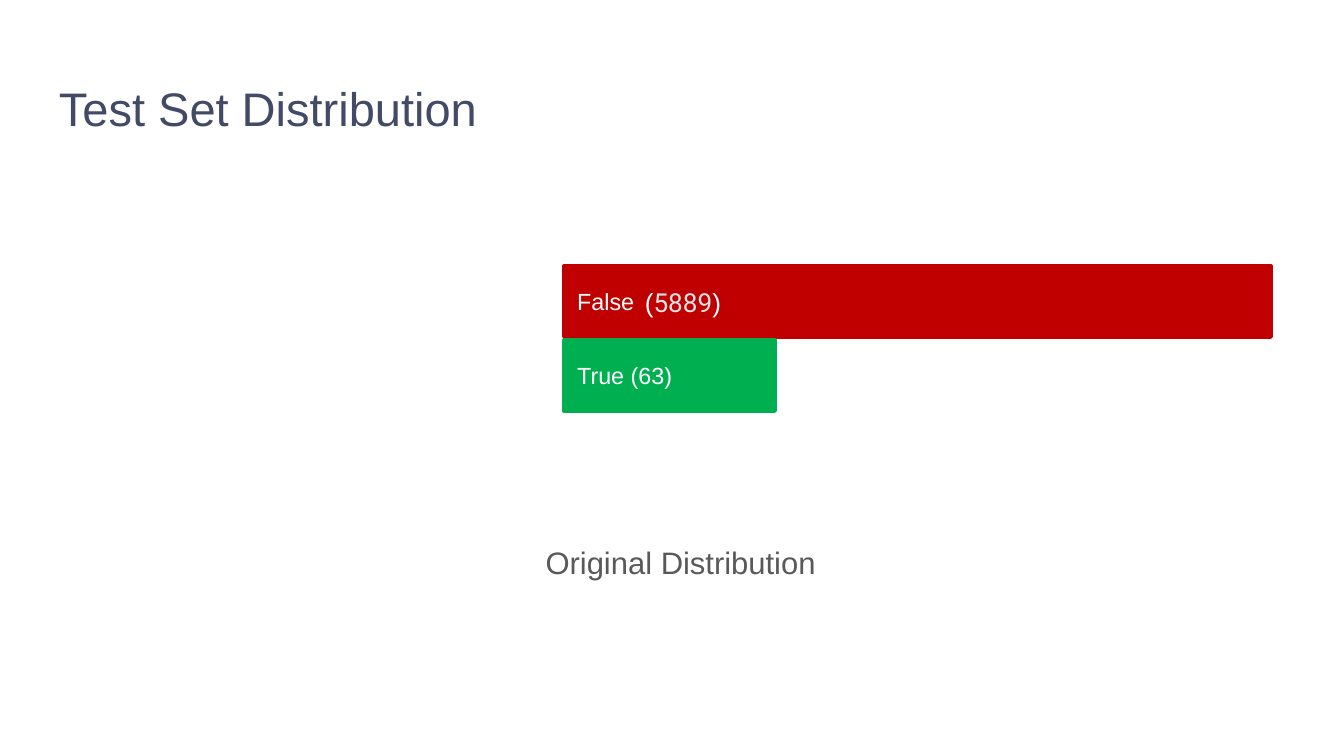
from pptx import Presentation
from pptx.dml.color import RGBColor
from pptx.enum.shapes import MSO_SHAPE
from pptx.enum.text import MSO_ANCHOR, PP_ALIGN
from pptx.util import Emu, Pt

RECT = MSO_SHAPE.RECTANGLE
TOP, MIDDLE = MSO_ANCHOR.TOP, MSO_ANCHOR.MIDDLE
LEFT, CENTER = PP_ALIGN.LEFT, PP_ALIGN.CENTER

NAVY = RGBColor(0x42, 0x4A, 0x65)
GRAY = RGBColor(0x59, 0x59, 0x59)
GREEN = RGBColor(0x00, 0xB0, 0x50)
RED = RGBColor(0xC0, 0x00, 0x00)
WHITE = RGBColor(0xFF, 0xFF, 0xFF)
PALE = RGBColor(0xE3, 0xE3, 0xE3)

# Content
TITLE = "Test Set Distribution"
CAPTION = "Original Distribution"
BARS = [("False", 707, RED), ("True (63)", 211, GREEN)]  # label, width, colour
FALSE_COUNT = [("(", "Arial", WHITE), ("5889", "Roboto", PALE), (")", "Arial", WHITE)]

# Layout in px
BAR_LEFT, BAR_TOP, BAR_HEIGHT, BAR_PITCH = 564, 266, 71, 74
INSET = 13


def px(n):
    return Emu(round(n * 914400 / 134.4))


def add_run(p, text, size, color, font="Arial"):
    r = p.add_run()
    r.text = text
    r.font.size, r.font.name = Pt(size), font
    r.font.color.rgb = color


def set_frame(tf, anchor, inset=None):
    tf.word_wrap = True
    tf.vertical_anchor = anchor
    if inset is not None:
        tf.margin_left = tf.margin_right = px(inset)
        tf.margin_top = tf.margin_bottom = px(inset)
    return tf.paragraphs[0]


prs = Presentation()
prs.slide_width, prs.slide_height = px(1344), px(756)
s = prs.slides.add_slide(prs.slide_layouts[5])

# Title
title = s.shapes.title
title.left, title.top, title.width, title.height = map(px, (46, 66, 1253, 85))
p = set_frame(title.text_frame, TOP, INSET)
p.alignment = LEFT
add_run(p, TITLE, 25.2, NAVY)

# Caption
box = s.shapes.add_textbox(*map(px, (509, 525, 327, 71)))
p = set_frame(box.text_frame, TOP, INSET)
p.alignment, p.line_spacing = CENTER, 1.15
p._p.get_or_add_pPr().set("marL", str(px(16)))
add_run(p, CAPTION, 16.6, GRAY)

# Bars
for i, (label, width, color) in enumerate(BARS):
    bar = s.shapes.add_shape(
        RECT, px(BAR_LEFT), px(BAR_TOP + i * BAR_PITCH), px(width), px(BAR_HEIGHT))
    bar.shadow.inherit = False
    bar.fill.solid()
    bar.fill.fore_color.rgb = color
    bar.line.color.rgb = color
    bar.line.width = Pt(2)
    p = set_frame(bar.text_frame, MIDDLE)
    p.alignment = LEFT
    add_run(p, label, 12.5, WHITE)

# Count on the first bar
box = s.shapes.add_textbox(*map(px, (618, 280, 130, 46)))
p = set_frame(box.text_frame, TOP)
p.alignment = CENTER
for text, font, color in FALSE_COUNT:
    add_run(p, text, 14, color, font)

prs.save("out.pptx")
